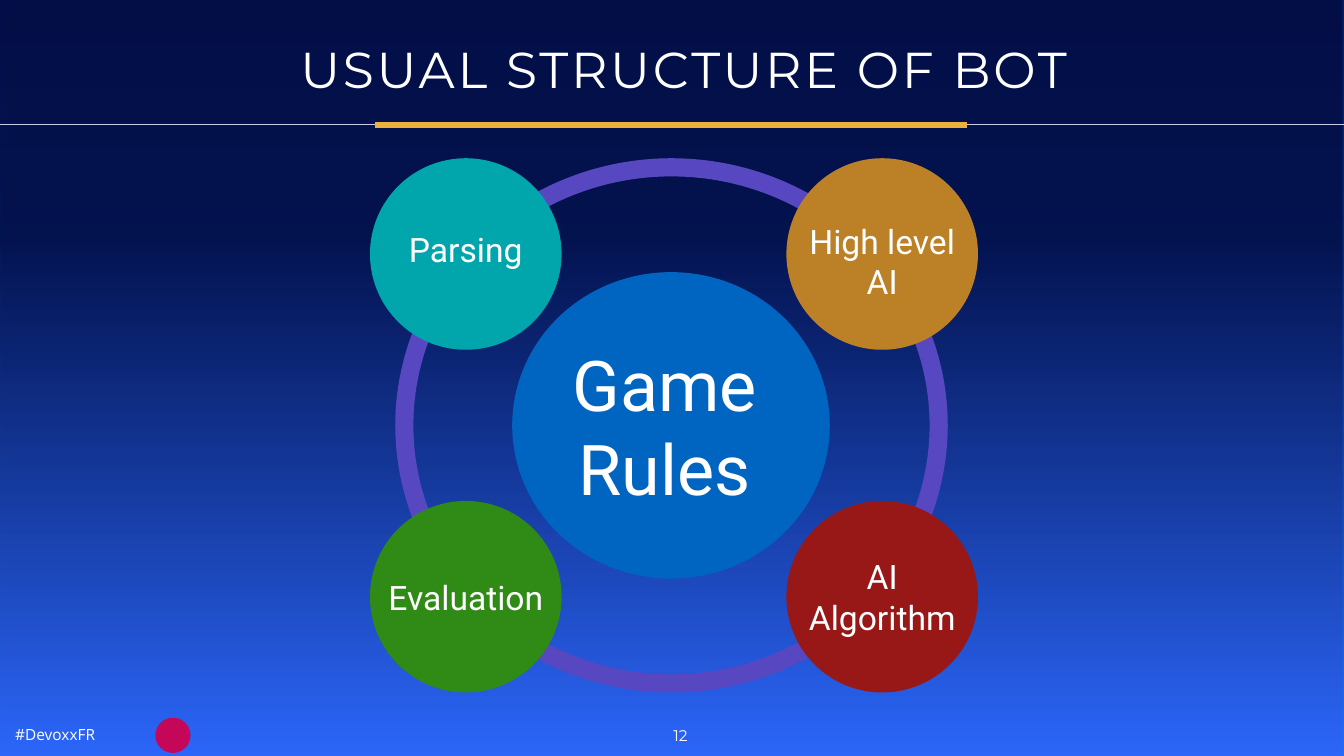
from lxml import etree
from pptx import Presentation
from pptx import util as u
from pptx.dml import color
from pptx.enum import shapes, text
from pptx.oxml import ns

COLORS = {
    "sky": "057FFA", "navy": "033494", "glow": "3363FB", "night": "030231",
    "gold": "ECB13C", "pale": "C8CCE6", "white": "FFFFFF", "badge": "C5075A",
    "ring": "5747C1", "rules": "0065C1", "parsing": "00A6AC",
    "evaluation": "308B16", "high_level": "BC8027", "algorithm": "971817",
}
WIDTH, HEIGHT = 13.33, 7.5


def rgb(name):
    return color.RGBColor.from_string(COLORS[name])


def set_gradient(fill, stops):
    """Vertical gradient running from the bottom upwards."""
    fill.gradient()
    fill.gradient_angle = 90
    for stop, (position, name) in zip(fill.gradient_stops, stops):
        stop.position = position
        stop.color.rgb = rgb(name)


def add_figure(slide, kind, box, fill=None):
    shape = slide.shapes.add_shape(kind, *map(u.Inches, box))
    shape.shadow.inherit = False
    shape.line.fill.background()
    if fill:
        shape.fill.solid()
        shape.fill.fore_color.rgb = rgb(fill)
    return shape


def add_line(slide, left, right, top, name, weight):
    line = slide.shapes.add_connector(
        shapes.MSO_CONNECTOR.STRAIGHT,
        u.Inches(left), u.Inches(top), u.Inches(right), u.Inches(top))
    line.line.color.rgb = rgb(name)
    line.line.width = u.Pt(weight)
    etree.SubElement(line._element.spPr, ns.qn("a:effectLst"))


def write_text(shape, lines, size, font, align=text.PP_ALIGN.CENTER,
               anchor=text.MSO_ANCHOR.MIDDLE, inset=0.08, wrap=False, spacing=0):
    frame = shape.text_frame
    frame.auto_size = text.MSO_AUTO_SIZE.NONE
    frame.word_wrap = wrap
    frame.vertical_anchor = anchor
    frame.margin_left = frame.margin_right = u.Inches(inset)
    frame.margin_top = frame.margin_bottom = u.Inches(inset)
    for index, line in enumerate(lines):
        paragraph = frame.add_paragraph() if index else frame.paragraphs[0]
        paragraph.alignment = align
        run = paragraph.add_run()
        run.text = line
        run.font.size = u.Pt(size)
        run.font.name = font
        run.font.color.rgb = rgb("white")
        if spacing:
            run._r.get_or_add_rPr().set("spc", str(spacing * 100))


def add_text(slide, box, lines, size, font, **options):
    shape = slide.shapes.add_textbox(*map(u.Inches, box))
    write_text(shape, lines, size, font, **options)


def draw_backdrop(slide, box):
    set_gradient(slide.background.fill, [(0, "sky"), (1, "navy")])
    overlay = add_figure(slide, shapes.MSO_SHAPE.RECTANGLE, box)
    set_gradient(overlay.fill, [(0, "glow"), (0.69, "night")])
    for node, alpha in zip(overlay._element.xpath(".//a:gs/a:srgbClr"), (85, 77)):
        etree.SubElement(node, ns.qn("a:alpha")).set("val", str(alpha * 1000))
    # Behind the title placeholder
    slide.shapes._spTree.insert(2, overlay._element)


def draw_header(slide, box):
    left, top, width, height = box
    title = slide.shapes.title
    title.left, title.top = u.Inches(left + 1.55), u.Inches(top + 0.07)
    title.width, title.height = u.Inches(10.47), u.Inches(1.21)
    write_text(title, ["USUAL STRUCTURE OF BOT"], 36, "Montserrat",
               wrap=True, spacing=2)
    rule = top + height
    add_line(slide, left, left + width, rule, "pale", 0.75)
    add_line(slide, left + 3.72, left + 9.59, rule, "gold", 3.75)


def draw_footer(slide, box):
    left, top, width, height = box
    add_text(slide, (left + 6.54, top, 0.42, 0.34), ["12"], 11, "Montserrat",
             anchor=text.MSO_ANCHOR.TOP)
    add_text(slide, (left + 0.11, top + 0.04, 0.91, 0.26), ["#DevoxxFR"], 11,
             "Open Sans", align=text.PP_ALIGN.LEFT, inset=0.04)
    add_figure(slide, shapes.MSO_SHAPE.OVAL, (left + 1.54, top, 0.35, 0.35), "badge")


def draw_wheel(slide, box):
    left, top, width, height = box
    # Ring and hub
    ring = add_figure(slide, shapes.MSO_SHAPE.DONUT,
                      (left + 0.25, top, 5.48, height), "ring")
    ring.adjustments[0] = 0.034
    add_figure(slide, shapes.MSO_SHAPE.OVAL,
               (left + 1.41, top + 1.13, 3.15, 3.04), "rules")
    add_text(slide, (left + 1.89, top + 1.73, 2.07, 1.84), ["Game", "Rules"],
             50, "Roboto")

    # Corner circles: column, row, colour, lines, label shift from the centre
    size, label_width, label_height = 1.9, 1.74, 0.97
    corners = [
        (0, 0, "parsing", ["Parsing"], -0.05),
        (0, 1, "evaluation", ["Evaluation"], 0),
        (1, 0, "high_level", ["High level", "AI"], 0.07),
        (1, 1, "algorithm", ["AI Algorithm"], 0),
    ]
    for column, row, fill, lines, shift in corners:
        x = left + column * (width - size)
        y = top + row * (height - size)
        add_figure(slide, shapes.MSO_SHAPE.OVAL, (x, y, size, size), fill)
        label = (x + (size - label_width) / 2,
                 y + (size - label_height) / 2 + shift, label_width, label_height)
        add_text(slide, label, lines, 24, "Roboto", wrap=True)


def main():
    presentation = Presentation()
    presentation.slide_width = u.Inches(WIDTH)
    presentation.slide_height = u.Inches(HEIGHT)
    slide = presentation.slides.add_slide(presentation.slide_layouts[5])
    draw_backdrop(slide, (0, 0, WIDTH, HEIGHT))
    draw_header(slide, (0, 0, WIDTH, 1.24))
    draw_footer(slide, (0, 7.12, WIDTH, 0.38))
    draw_wheel(slide, (3.67, 1.57, 6.03, 5.3))
    presentation.save("out.pptx")


if __name__ == "__main__":
    main()
